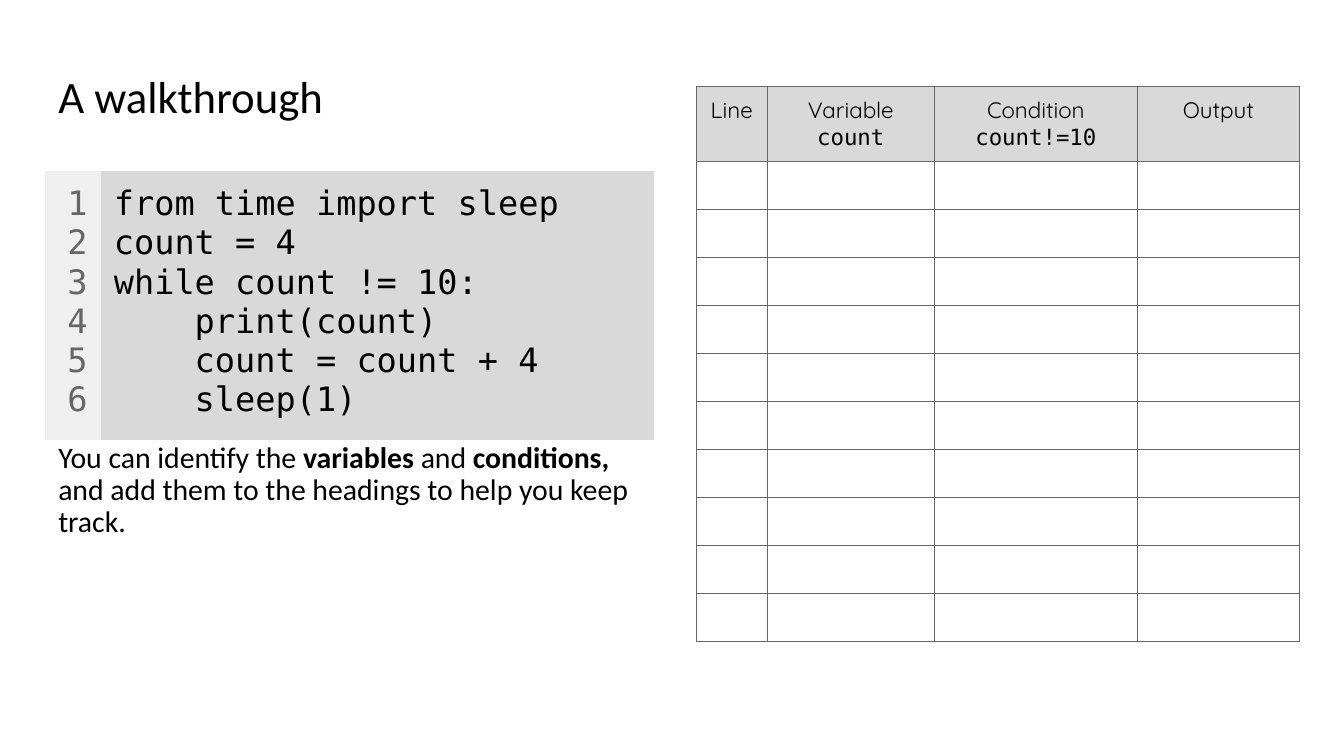
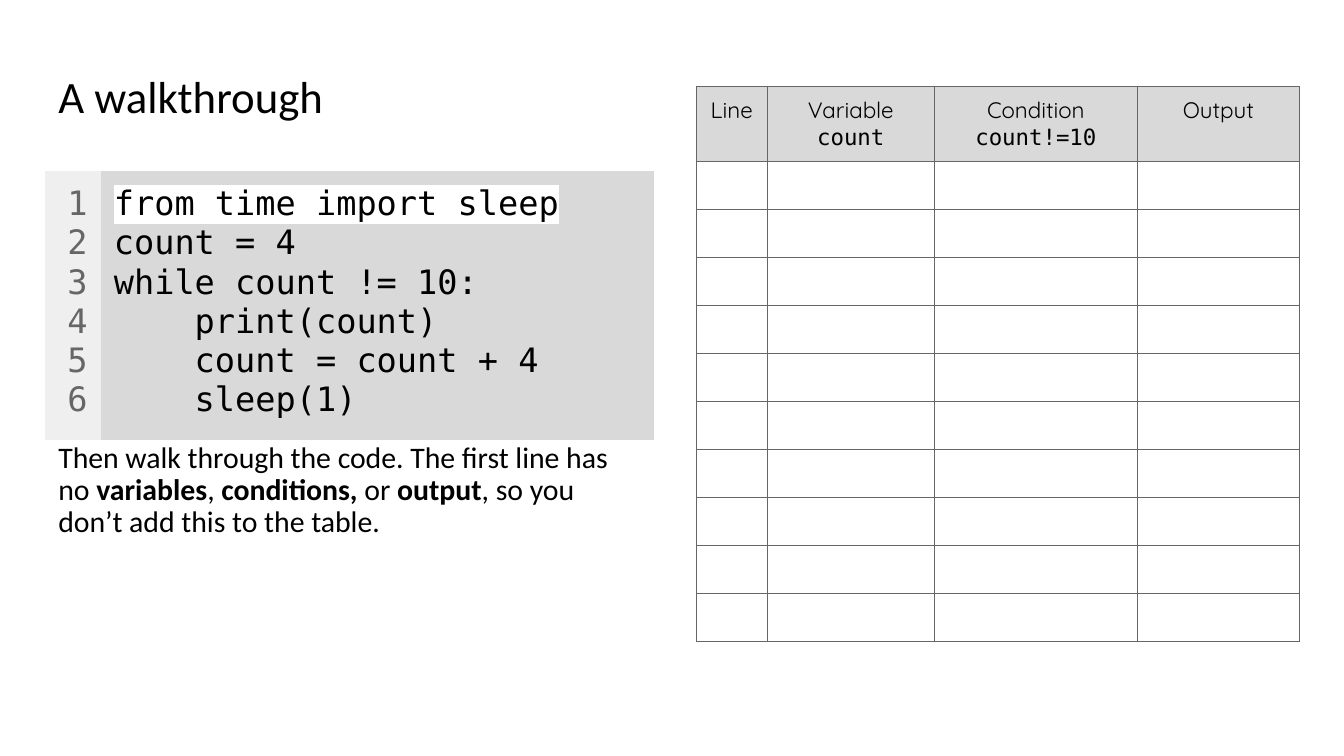
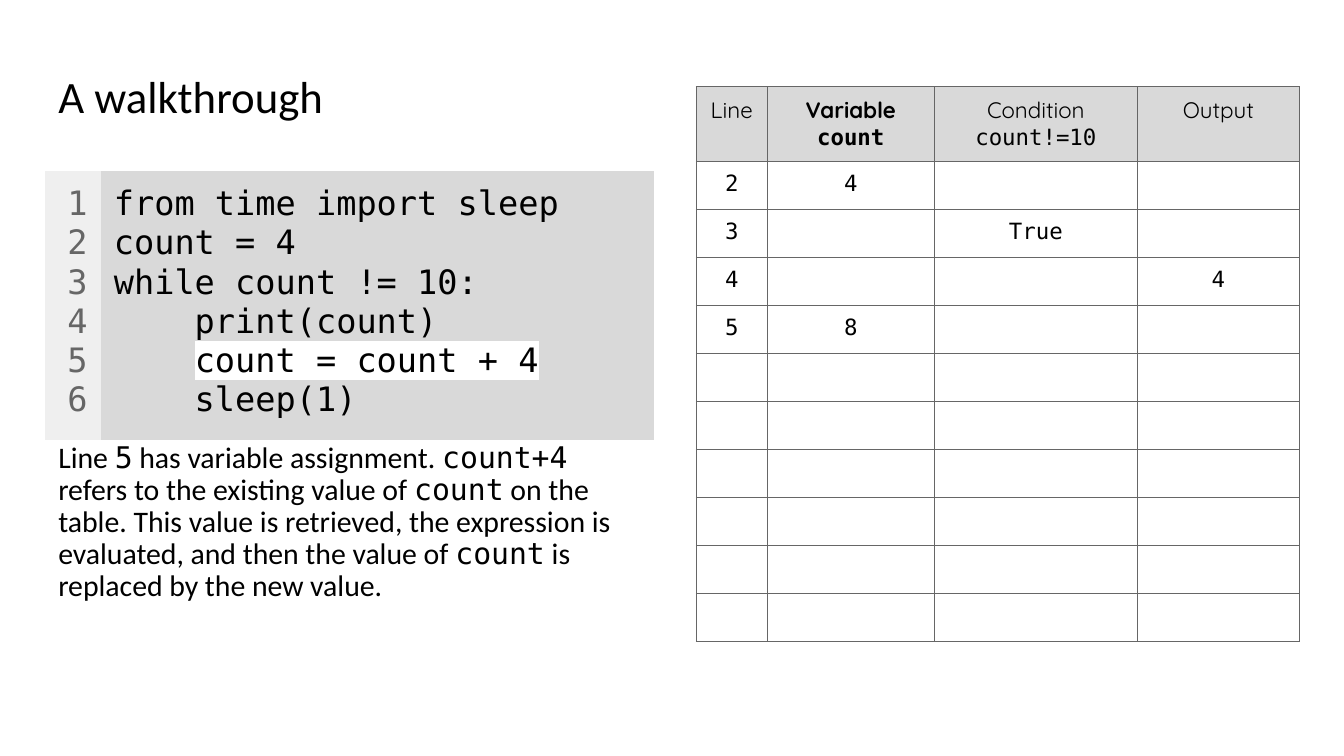
from lxml import etree
from pptx import Presentation
from pptx.dml.color import RGBColor
from pptx.enum.text import MSO_ANCHOR, PP_ALIGN
from pptx.oxml.ns import qn
from pptx.util import Cm, Pt

LEFT, CENTER, RIGHT = PP_ALIGN.LEFT, PP_ALIGN.CENTER, PP_ALIGN.RIGHT
MIDDLE = MSO_ANCHOR.MIDDLE

COLORS = {"text": "000000", "muted": "666666", "code": "D9D9D9",
          "gutter": "EFEFEF", "highlight": "FFFFFF"}
SANS, MONO, HEAD = "Calibri", "DejaVu Sans Mono", "Quicksand"
BOLD, CODE = {"bold": True}, {"font": MONO}

# Content
TITLE = "A walkthrough"
CODE_LINES = [
    "from time import sleep",
    "count = 4",
    "while count != 10:",
    "    print(count)",
    "    count = count + 4",
    "    sleep(1)",
]
HEADINGS = [("Line", ""), ("Variable", "count"),
            ("Condition", "count!=10"), ("Output", "")]
TRACE_ROWS = 10
SLIDES = [
    {"active": None, "bold_heading": None, "trace": [],
     "note": [("You can identify the ", {}), ("variables ", BOLD), ("and ", {}),
              ("conditions, ", BOLD),
              ("and add them to the headings to help you keep track.", {})]},
    {"active": 1, "bold_heading": None, "trace": [],
     "note": [("Then walk through the code. The first line has no ", {}),
              ("variables", BOLD), (", ", {}), ("conditions, ", BOLD), ("or ", {}),
              ("output", BOLD), (", so you don’t add this to the table.", {})]},
    {"active": 5, "bold_heading": "Variable",
     "trace": [("2", "4", "", ""), ("3", "", "True", ""),
               ("4", "", "", "4"), ("5", "8", "", "")],
     "note": [("Line ", {}), ("5", CODE), (" has variable assignment. ", {}),
              ("count+4", CODE), (" refers to the existing value of ", {}),
              ("count", CODE),
              (" on the table. This value is retrieved, the expression is "
               "evaluated, and then the value of ", {}),
              ("count", CODE), (" is replaced by the new value.", {})]},
]

# Layout in centimetres
MARGIN = 1.14
TRACE_LEFT, TRACE_TOP = 17.55, 2.18
TRACE_COLS = [1.78, 4.22, 5.11, 4.09]
HEADING_H, TRACE_H = 1.88, 1.21
CODE_TOP, CODE_H = 4.32, 6.76
CODE_COLS = [1.4, 13.94]
INSET, CELL_INSET = 0.33, 0.25


def write(tf, paragraphs, size, font=SANS, color="text", align=LEFT,
          spacing=None, after=None):
    """Fill a text frame; each paragraph is a list of (text, run format)."""
    for i, runs in enumerate(paragraphs):
        p = tf.paragraphs[0] if i == 0 else tf.add_paragraph()
        p.alignment = align
        if spacing:
            p.line_spacing = spacing
        if after:
            p.space_after = Pt(after)
        for text, style in runs:
            r = p.add_run()
            r.text = text
            r.font.size = Pt(size)
            r.font.name = style.get("font", font)
            r.font.bold = style.get("bold", False)
            r.font.color.rgb = RGBColor.from_string(COLORS[color])
            if style.get("highlight"):
                mark = etree.Element(qn("a:highlight"))
                etree.SubElement(mark, qn("a:srgbClr"), val=COLORS["highlight"])
                r.font._element.find(qn("a:solidFill")).addnext(mark)


def set_insets(box, inset):
    box.margin_left = box.margin_right = Cm(inset)
    box.margin_top = box.margin_bottom = Cm(inset)


def add_text(s, top, width, height, runs, size, anchor=None, after=None):
    tf = s.shapes.add_textbox(Cm(MARGIN), Cm(top), Cm(width), Cm(height)).text_frame
    tf.word_wrap = True
    set_insets(tf, INSET)
    if anchor is not None:
        tf.vertical_anchor = anchor
    write(tf, [runs], size, spacing=0.9, after=after)


def add_grid(s, left, top, cols, rows, border=None):
    """Add a plain table whose cells have the given border, or none."""
    table = s.shapes.add_table(len(rows), len(cols), Cm(left), Cm(top),
                               Cm(sum(cols)), Cm(sum(rows))).table
    table.first_row = table.horz_banding = False
    for col, width in zip(table.columns, cols):
        col.width = Cm(width)
    for row, height in zip(table.rows, rows):
        row.height = Cm(height)
    for cell in table.iter_cells():
        tc_pr = cell._tc.get_or_add_tcPr()
        for side in ("lnL", "lnR", "lnT", "lnB"):
            ln = etree.SubElement(tc_pr, qn("a:" + side), w=str(Pt(0.75)))
            if border:
                fill = etree.SubElement(ln, qn("a:solidFill"))
                etree.SubElement(fill, qn("a:srgbClr"), val=COLORS[border])
            else:
                etree.SubElement(ln, qn("a:noFill"))
        cell.fill.background()
    return table


def fill_cell(cell, paragraphs, size, inset, fill=None, **fmt):
    set_insets(cell, inset)
    if fill:
        cell.fill.solid()
        cell.fill.fore_color.rgb = RGBColor.from_string(COLORS[fill])
    write(cell.text_frame, paragraphs, size, **fmt)


def add_trace(s, trace, bold_heading):
    table = add_grid(s, TRACE_LEFT, TRACE_TOP, TRACE_COLS,
                     [HEADING_H] + [TRACE_H] * TRACE_ROWS, border="muted")
    for c, (label, expr) in enumerate(HEADINGS):
        bold = label == bold_heading
        lines = [[(label, {"bold": bold})]]
        if expr:
            lines.append([(expr, {"bold": bold, "font": MONO})])
        fill_cell(table.cell(0, c), lines, 16, CELL_INSET, fill="code",
                  font=HEAD, align=CENTER)
    for r, values in enumerate(trace, 1):
        for c, value in enumerate(values):
            if value:
                fill_cell(table.cell(r, c), [[(value, {})]], 16, CELL_INSET,
                          font=MONO, align=CENTER)


def add_code(s, active):
    table = add_grid(s, MARGIN, CODE_TOP, CODE_COLS, [CODE_H])
    numbers, lines = [], []
    for n, line in enumerate(CODE_LINES, 1):
        numbers.append([(str(n), {})])
        statement = line.lstrip()
        indent = line[:len(line) - len(statement)]
        if n == active:
            runs = [(indent, {})] if indent else []
            lines.append(runs + [(statement, {"highlight": True})])
        else:
            lines.append([(line, {})])
    fill_cell(table.cell(0, 0), numbers, 24, INSET, fill="gutter",
              font=MONO, color="muted", align=RIGHT)
    fill_cell(table.cell(0, 1), lines, 24, INSET, fill="code", font=MONO)


def main():
    prs = Presentation()
    prs.slide_width, prs.slide_height = Cm(33.87), Cm(19.05)
    for content in SLIDES:
        s = prs.slides.add_slide(prs.slide_layouts[6])
        add_text(s, 1.19, 31.57, 2.59, [(TITLE, {})], 32, anchor=MIDDLE)
        add_trace(s, content["trace"], content["bold_heading"])
        add_code(s, content["active"])
        add_text(s, 10.82, 15.16, 5.36, content["note"], 21.3, after=21.3)
    prs.save("out.pptx")


if __name__ == "__main__":
    main()
